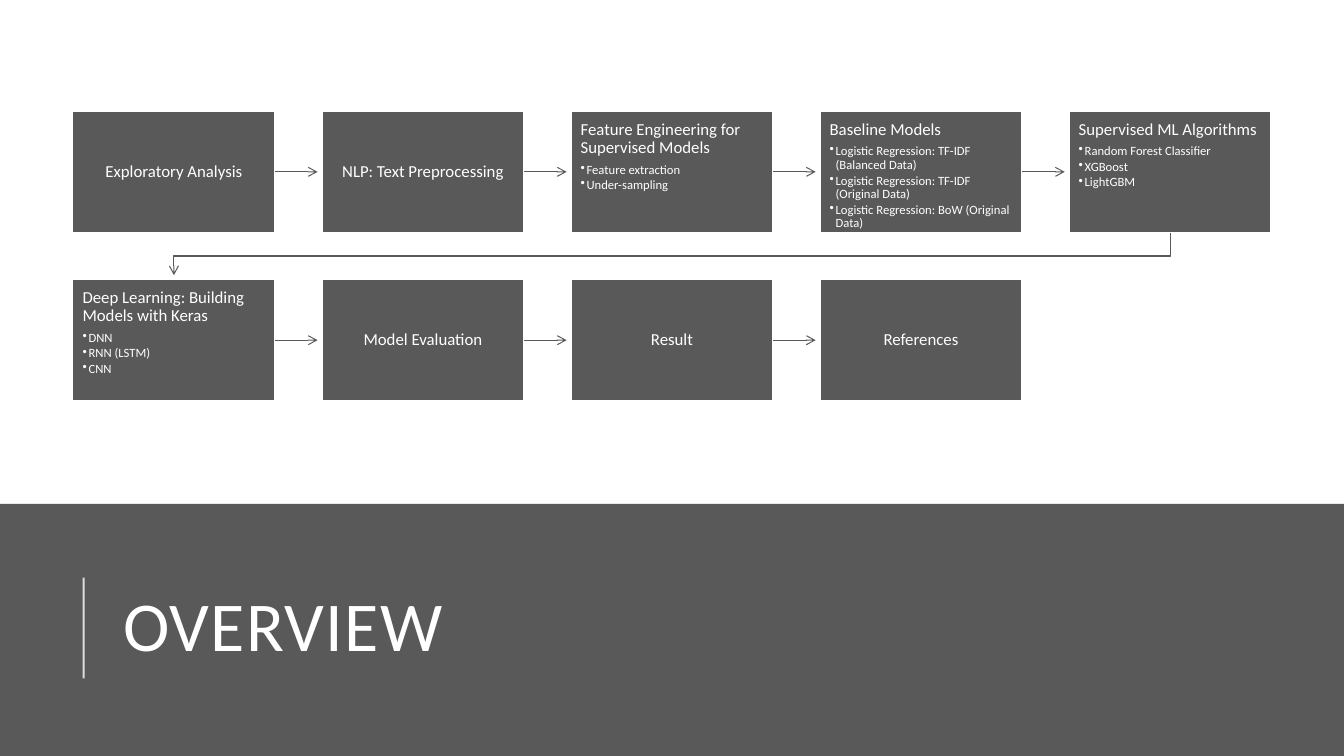
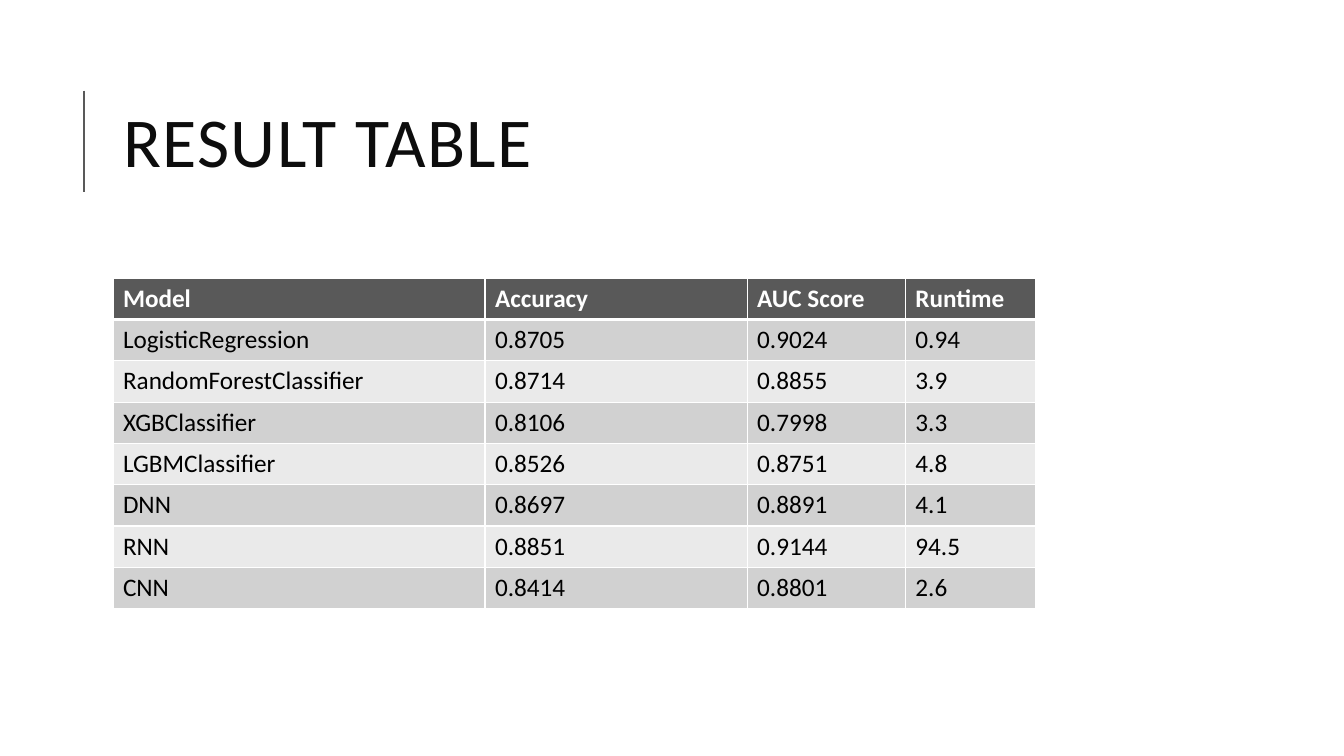
from lxml import etree
from pptx import Presentation
from pptx import util as u
from pptx.dml.color import RGBColor
from pptx.enum import shapes, text
from pptx.oxml import ns

GREY, WHITE, INK, BLACK = "595959", "FFFFFF", "0D0D0D", "000000"
BANDS = "D1D1D1", "EAEAEA"
FONT = "Calibri"


def rgb(code):
    return RGBColor.from_string(code)


def sub(node, tag, **attrs):
    return etree.SubElement(node, ns.qn(tag), attrs)


class Deck:
    def __init__(self):
        self.prs = Presentation()
        self.prs.slide_width = u.Inches(13.33)
        self.prs.slide_height = u.Inches(7.5)

    def page(self):
        self.slide = self.prs.slides.add_slide(self.prs.slide_layouts[5])
        self.shapes = self.slide.shapes

    def style(self, para, size, color, bold=False):
        for run in para.runs:
            font = run.font
            font.name, font.size, font.bold = FONT, u.Pt(size), bold
            font.color.rgb = rgb(color)

    def title(self, words, top, color):
        box = self.shapes.title
        box.left, box.top = u.Inches(1.12), u.Inches(top)
        box.width, box.height = u.Inches(10.63), u.Inches(1.64)
        frame = box.text_frame
        frame.text = words
        frame.auto_size = text.MSO_AUTO_SIZE.NONE
        frame.vertical_anchor = text.MSO_ANCHOR.MIDDLE
        para = frame.paragraphs[0]
        para.alignment = text.PP_ALIGN.LEFT
        para.line_spacing = 0.8
        self.style(para, 50, color)
        para.runs[0].font._element.set("spc", "100")

    def rect(self, left, top, width, height):
        box = self.shapes.add_shape(
            shapes.MSO_SHAPE.RECTANGLE, u.Inches(left), u.Inches(top),
            u.Inches(width), u.Inches(height))
        box.shadow.inherit = False
        box.fill.solid()
        box.fill.fore_color.rgb = rgb(GREY)
        box.line.fill.background()
        return box

    def band(self, top, height):
        """Full-width band placed behind the title."""
        band = self.rect(0, top, 13.33, height)
        self.shapes.title.element.addprevious(band.element)

    def line(self, x1, y1, x2, y2, color, width):
        line = self.shapes.add_connector(
            shapes.MSO_CONNECTOR.STRAIGHT, u.Inches(x1), u.Inches(y1),
            u.Inches(x2), u.Inches(y2))
        line.line.color.rgb = rgb(color)
        line.line.width = u.Pt(width)
        sub(line._element.spPr, "a:effectLst")
        return line

    def rule(self, top, color, alpha=100):
        rule = self.line(0.83, top, 0.83, top + 1, color, 1.5)
        tint = rule.line._ln.find(".//" + ns.qn("a:srgbClr"))
        if alpha < 100:
            sub(tint, "a:alpha", val=str(alpha * 1000))

    def head(self, shape):
        sub(shape.line._ln, "a:tailEnd", type="arrow")

    def arrow(self, box, x, y, size):
        line = self.line(x, y, x + size, y, GREY, 0.75)
        line.begin_connect(box, 3)
        self.head(line)

    def bend(self, points):
        """Open arrow that runs through the given points."""
        spots = [(u.Inches(x), u.Inches(y)) for x, y in points]
        path = self.shapes.build_freeform(*spots[0])
        path.add_line_segments(spots[1:], close=False)
        shape = path.convert_to_shape()
        shape.shadow.inherit = False
        shape.fill.background()
        shape.line.color.rgb = rgb(GREY)
        shape.line.width = u.Pt(0.75)
        self.head(shape)

    def step(self, left, top, width, height, name, items):
        """Box with a centred name, or a name above a bullet list."""
        box = self.rect(left, top, width, height)
        box.line.color.rgb = rgb(WHITE)
        box.line.width = u.Pt(1.25)
        frame = box.text_frame
        frame.word_wrap = True
        frame.margin_left = frame.margin_right = u.Inches(0.1)
        frame.margin_top = frame.margin_bottom = u.Inches(0.1)
        frame.vertical_anchor = (
            text.MSO_ANCHOR.TOP if items else text.MSO_ANCHOR.MIDDLE)
        frame.text = "\n".join([name, *items])
        for i, para in enumerate(frame.paragraphs):
            para.alignment = (
                text.PP_ALIGN.LEFT if items else text.PP_ALIGN.CENTER)
            para.line_spacing = 0.9
            para.space_after = u.Pt(1.35 if i else 4.2)
            if i:
                para.level = 1
                props = para._p.get_or_add_pPr()
                gap = u.Inches(0.06)
                props.set("marL", str(gap))
                props.set("indent", str(-gap))
                sub(props, "a:buChar", char="•")
            self.style(para, 9 if i else 12, WHITE)
        return box

    def edge(self, cell, side, width):
        line = sub(cell._tc.get_or_add_tcPr(), "a:ln" + side,
                   w=str(u.Pt(width)))
        sub(sub(line, "a:solidFill"), "a:srgbClr", val=WHITE)

    def table(self, left, top, widths, high, rows):
        grid = self.shapes.add_table(
            len(rows), len(widths), u.Inches(left), u.Inches(top),
            u.Inches(sum(widths)), u.Inches(high * len(rows))).table
        grid.horz_banding = False
        for col, width in zip(grid.columns, widths):
            col.width = u.Inches(width)
        for r, row in enumerate(rows):
            for c, word in enumerate(row):
                cell = grid.cell(r, c)
                cell.text = word
                for side in "LRTB":
                    thick = (r, side) in ((0, "B"), (1, "T"))
                    self.edge(cell, side, 3 if thick else 1)
                cell.fill.solid()
                cell.fill.fore_color.rgb = rgb(BANDS[(r - 1) % 2] if r else GREY)
                self.style(cell.text_frame.paragraphs[0], 18,
                           BLACK if r else WHITE, not r)


STEPS = [
    [("Exploratory Analysis", []),
     ("NLP: Text Preprocessing", []),
     ("Feature Engineering for Supervised Models",
      ["Feature extraction", "Under-sampling"]),
     ("Baseline Models",
      ["Logistic Regression: TF-IDF (Balanced Data)",
       "Logistic Regression: TF-IDF (Original Data)",
       "Logistic Regression: BoW (Original Data)"]),
     ("Supervised ML Algorithms",
      ["Random Forest Classifier", "XGBoost", "LightGBM"])],
    [("Deep Learning: Building Models with Keras",
      ["DNN", "RNN (LSTM)", "CNN"]),
     ("Model Evaluation", []),
     ("Result", []),
     ("References", [])],
]

SCORES = [
    ("Model", "Accuracy", "AUC Score", "Runtime"),
    ("LogisticRegression", "0.8705", "0.9024", "0.94"),
    ("RandomForestClassifier", "0.8714", "0.8855", "3.9"),
    ("XGBClassifier", "0.8106", "0.7998", "3.3"),
    ("LGBMClassifier", "0.8526", "0.8751", "4.8"),
    ("DNN", "0.8697", "0.8891", "4.1"),
    ("RNN", "0.8851", "0.9144", "94.5"),
    ("CNN", "0.8414", "0.8801", "2.6"),
]


def flow(deck):
    left, top, wide, high = 0.72, 1.1, 2.01, 1.21
    across, down = 2.47, 1.67
    for r, row in enumerate(STEPS):
        y = top + r * down
        for c, (name, items) in enumerate(row):
            x = left + c * across
            box = deck.step(x, y, wide, high, name, items)
            if c < len(row) - 1:
                deck.arrow(box, x + wide, y + high / 2, 0.42)
    first = left + wide / 2
    last = first + 4 * across
    deck.bend([(last, top + high), (last, 2.54), (first, 2.54), (first, 2.73)])


def main():
    deck = Deck()
    deck.page()
    deck.band(5, 2.5)
    deck.title("OVERVIEW", 5.44, WHITE)
    deck.rule(5.73, WHITE, 80)
    flow(deck)

    deck.page()
    deck.rule(0.9, GREY)
    deck.title("RESULT TABLE", 0.64, INK)
    deck.table(1.12, 2.76, [3.69, 2.6, 1.57, 1.29], 0.41, SCORES)
    deck.prs.save("out.pptx")


if __name__ == "__main__":
    main()
